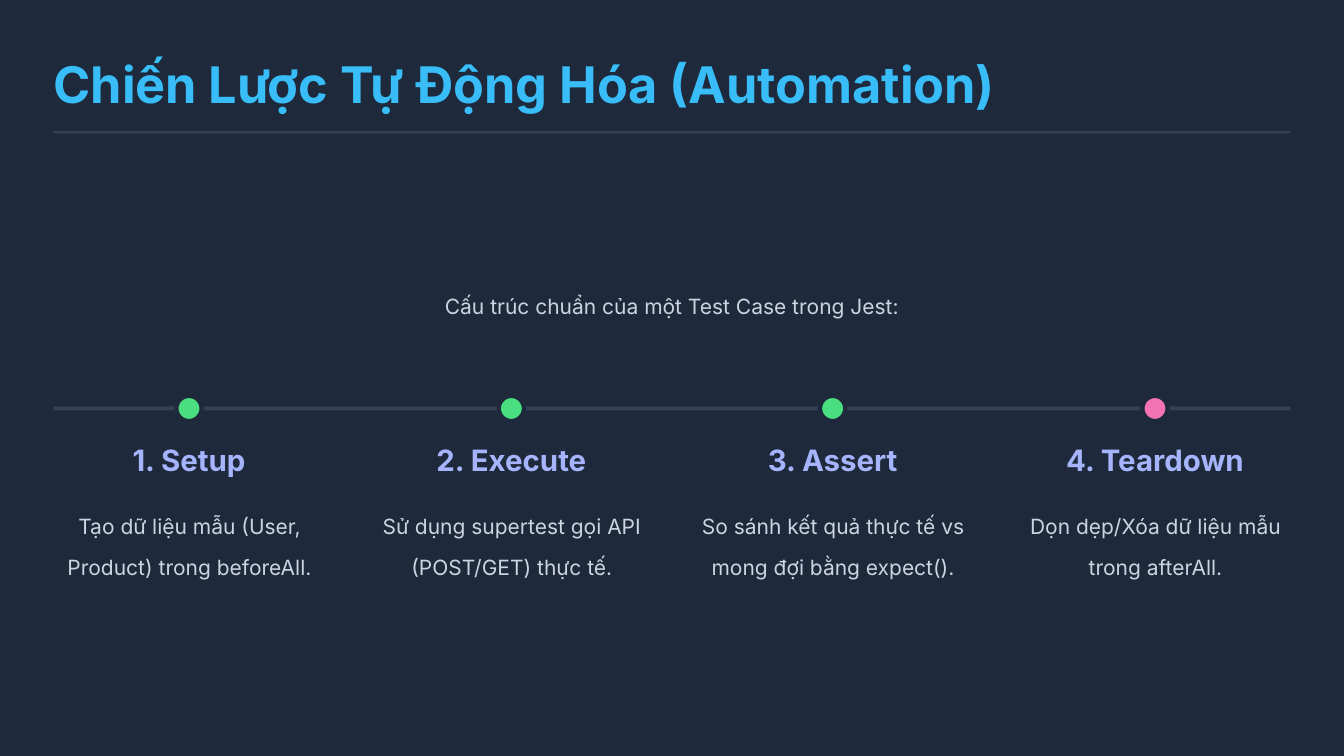
import dataclasses

import pptx
import pptx.dml.color
import pptx.enum.shapes
import pptx.enum.text
import pptx.shapes.autoshape
import pptx.slide
import pptx.util

PX = 9525  # EMU per px, at 96 px to the inch
FONT = "Inter"
HEX = {
    "back": "1E293B",
    "rule": "334155",
    "title": "38BDF8",
    "head": "A5B4FC",
    "text": "CBD5E1",
    "green": "4ADE80",
    "pink": "F472B6",
}
KIND = pptx.enum.shapes.MSO_SHAPE
ALIGN = pptx.enum.text.PP_ALIGN


@dataclasses.dataclass(frozen=True)
class Box:
    left: int
    top: int
    width: int
    height: int

    def emu(self) -> tuple[int, ...]:
        return tuple(n * PX for n in dataclasses.astuple(self))


@dataclasses.dataclass(frozen=True)
class Style:
    size: int
    tint: str
    bold: bool = False
    align: ALIGN = ALIGN.CENTER
    space: float = 1.0


@dataclasses.dataclass(frozen=True)
class Step:
    name: str
    note: str
    tint: str = "green"


TITLE = Style(36, "title", bold=True, align=ALIGN.LEFT)
HEAD = Style(21, "head", bold=True)
BODY = Style(15, "text", space=1.6)

STEPS = [
    Step("1. Setup", "Tạo dữ liệu mẫu (User, Product) trong beforeAll."),
    Step("2. Execute", "Sử dụng supertest gọi API (POST/GET) thực tế."),
    Step("3. Assert", "So sánh kết quả thực tế vs mong đợi bằng expect()."),
    Step("4. Teardown", "Dọn dẹp/Xóa dữ liệu mẫu trong afterAll.", "pink"),
]

EDGE, SPAN = 51, 1178  # left margin and content width
COL, DOT, WIDE = 259, 24, 272  # widths of a note, a dot and a heading


def color(name: str) -> pptx.dml.color.RGBColor:
    return pptx.dml.color.RGBColor.from_string(HEX[name])


def write(shape: pptx.shapes.autoshape.Shape, box: Box, text: str,
          style: Style) -> None:
    """Place a text shape and set its one paragraph."""
    shape.left, shape.top, shape.width, shape.height = box.emu()
    frame = shape.text_frame
    frame.text = text
    frame.word_wrap = True
    frame.auto_size = pptx.enum.text.MSO_AUTO_SIZE.SHAPE_TO_FIT_TEXT
    frame.vertical_anchor = pptx.enum.text.MSO_ANCHOR.TOP
    frame.margin_left = frame.margin_right = 0
    frame.margin_top = frame.margin_bottom = 0
    para = frame.paragraphs[0]
    para.alignment = style.align
    para.line_spacing = style.space
    font = para.runs[0].font
    font.name = FONT
    font.size = pptx.util.Pt(style.size)
    font.bold = style.bold
    font.color.rgb = color(style.tint)


def label(slide: pptx.slide.Slide, box: Box, text: str, style: Style) -> None:
    write(slide.shapes.add_textbox(*box.emu()), box, text, style)


def block(slide: pptx.slide.Slide, kind: KIND, box: Box,
          tint: str) -> pptx.shapes.autoshape.Shape:
    shape = slide.shapes.add_shape(kind, *box.emu())
    shape.shadow.inherit = False
    shape.fill.solid()
    shape.fill.fore_color.rgb = color(tint)
    shape.line.fill.background()
    return shape


def draw(slide: pptx.slide.Slide, step: Step, mid: int) -> None:
    """Draw one step of the timeline, centred on mid."""
    dot = block(slide, KIND.ROUNDED_RECTANGLE,
                Box(mid - DOT // 2, 377, DOT, DOT), step.tint)
    dot.adjustments[0] = 0.5
    dot.line.color.rgb = color("back")
    dot.line.width = pptx.util.Pt(3)
    label(slide, Box(mid - WIDE // 2, 421, WIDE, 34), step.name, HEAD)
    label(slide, Box(mid - COL // 2, 475, COL, 64), step.note, BODY)


def main() -> None:
    deck = pptx.Presentation()
    deck.slide_width, deck.slide_height = 1280 * PX, 720 * PX
    slide = deck.slides.add_slide(deck.slide_layouts.get_by_name("Title Only"))
    slide.background.fill.solid()
    slide.background.fill.fore_color.rgb = color("back")

    # Title and rule
    write(slide.shapes.title, Box(EDGE, 51, 1229, 61),
          "Chiến Lược Tự Động Hóa (Automation)", TITLE)
    block(slide, KIND.RECTANGLE, Box(EDGE, 125, SPAN, 2), "rule")

    # Lead sentence
    label(slide, Box(EDGE, 265, SPAN, 32),
          "Cấu trúc chuẩn của một Test Case trong Jest:", BODY)

    # Timeline: track, then evenly spaced steps
    block(slide, KIND.RECTANGLE, Box(EDGE, 387, SPAN, 4), "rule")
    pitch = (SPAN - COL) / (len(STEPS) - 1)
    for i, step in enumerate(STEPS):
        draw(slide, step, round(EDGE + COL / 2 + i * pitch))

    deck.save("out.pptx")


if __name__ == "__main__":
    main()
